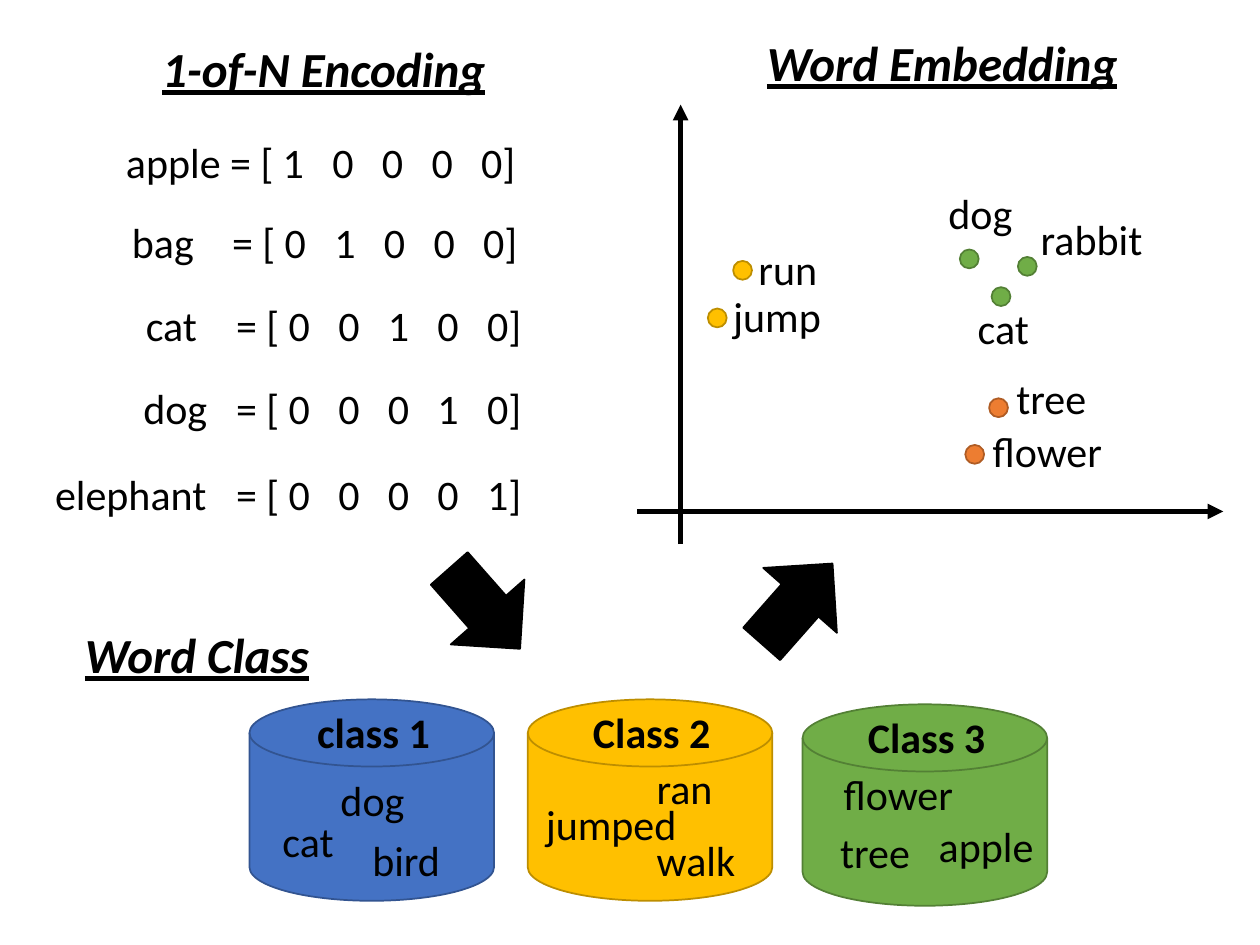
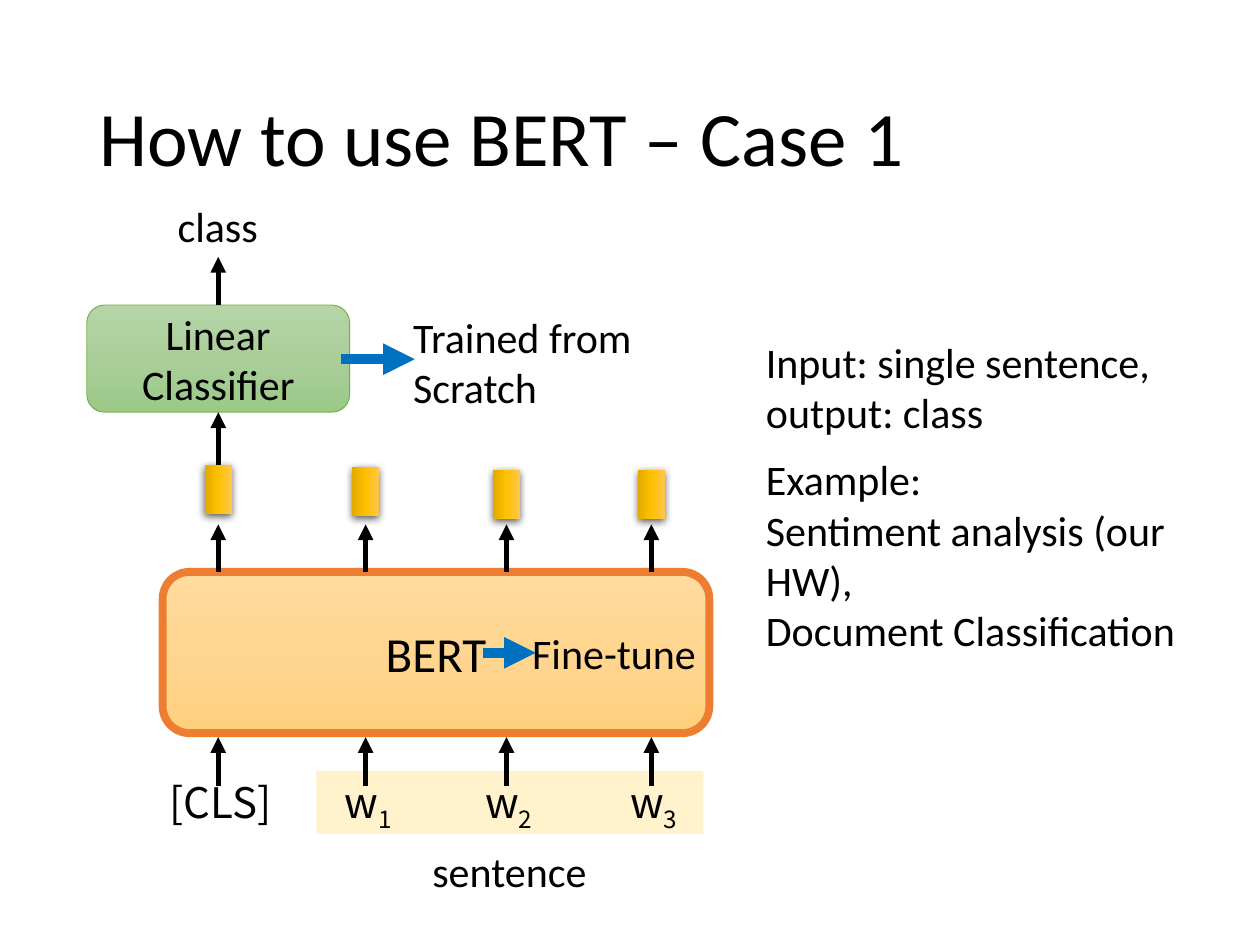
import pptx
import pptx.util
import pptx.dml.color
import pptx.enum.shapes
import pptx.enum.text
import pptx.oxml.ns
from lxml import etree

Cm, Pt = pptx.util.Cm, pptx.util.Pt
SHAPE = pptx.enum.shapes.MSO_SHAPE
ALIGN = pptx.enum.text.PP_ALIGN
FIT = pptx.enum.text.MSO_AUTO_SIZE
MIDDLE = pptx.enum.text.MSO_ANCHOR.MIDDLE
qn = pptx.oxml.ns.qn

FONT, TOKEN_FONT = "Calibri", "Noto Sans CJK SC"
INSET = 0.25
COLORS = {
    "black": "000000", "arrow": "0070C0", "band": "FFF2CC",
    "blue": "4472C4", "blue_edge": "325491",
    "gold": "FFC000", "gold_edge": "BD8E00",
    "green": "70AD47", "green_edge": "538035",
    "orange": "ED7D31", "orange_edge": "AF5C24",
}
GRADIENTS = {
    "bert": ("FFDB9E", "FFD590", "FFD07C"),
    "classifier": ("B5D5A7", "AACE9A", "9CC987"),
    "vector": ("E3AB00", "FFC000", "FFC64B"),
}

# Slide 1, all positions in cm
HEADINGS = [("1-of-N Encoding", 3.02, 0.66), ("Word Embedding", 15.21, 0.53),
            ("Word Class", 1.46, 12.47)]
# word, left, top, position of the equals sign
ENCODINGS = [("apple", 2.29, 2.62, 4.64), ("bag", 2.41, 4.24, 4.68),
             ("cat", 2.69, 5.92, 4.76), ("dog", 2.64, 7.59, 4.76),
             ("elephant", 0.86, 9.32, 4.76)]
AXES = [(12.85, 10.31, 24.66, 10.31), (13.72, 10.97, 13.72, 2.11)]
# word, colour, dot left and top, label left and top
EMBEDDINGS = [
    ("dog", "green", 19.35, 5.03, 18.87, 3.66),
    ("cat", "green", 19.99, 5.79, 19.46, 5.97),
    ("rabbit", "green", 20.52, 5.18, 20.73, 4.17),
    ("jump", "gold", 14.27, 6.22, 14.53, 5.74),
    ("run", "gold", 14.78, 5.26, 15.04, 4.78),
    ("flower", "orange", 19.46, 8.97, 19.76, 8.46),
    ("tree", "orange", 19.94, 8.03, 20.24, 7.39),
]
# name, colour, left, top, words with centre and top
CLASSES = [
    ("class 1", "blue", 5.03, 14.1,
     [("dog", 7.51, 15.49), ("cat", 6.21, 16.31), ("bird", 8.19, 16.69)]),
    ("Class 2", "gold", 10.64, 14.1,
     [("ran", 13.8, 15.24), ("jumped", 12.32, 15.98), ("walk", 14.03, 16.69)]),
    ("Class 3", "green", 16.18, 14.2,
     [("flower", 18.11, 15.37), ("tree", 17.64, 16.54), ("apple", 19.88, 16.41)]),
]
BLOCK_ARROWS = [(8.69, 11.28, 48.6), (14.99, 11.18, -48.6)]

# Slide 2
TITLE = "How to use BERT – Case 1"
# token, subscript, column centre, top of the output vector
TOKENS = [("[CLS]", "", 4.4, 9.37), ("w", "1", 7.37, 9.42),
          ("w", "2", 10.21, 9.47), ("w", "3", 13.13, 9.47)]
NOTES = [  # text, left, top, width
    ("class", 3.33, 3.91, 3),
    ("Trained from Scratch", 8.08, 6.15, 5.8),
    ("Input: single sentence,\noutput: class", 15.19, 6.65, 9.4),
    ("Example:\nSentiment analysis (our HW),\nDocument Classification", 15.19, 9.02, 9),
]
CENTRED_NOTES = [("sentence", 10.27, 16.92), ("Fine-tune", 12.38, 12.52)]
HINT_ARROWS = [(6.88, 7.24, 8.36, 7.24), (9.73, 13.16, 10.8, 13.16)]


def rgb(name):
    return pptx.dml.color.RGBColor.from_string(COLORS[name])


def style(tf, size=24, font=FONT, align=ALIGN.LEFT, bold=None, heading=False):
    for p in tf.paragraphs:
        p.alignment = align
        for r in p.runs:
            r.font.name, r.font.size = font, Pt(size)
            r.font.color.rgb = rgb("black")
            r.font.bold = heading or bold
            if heading:
                r.font.italic = r.font.underline = True


def label(slide, text, left, top, width=3.25, **look):
    tf = slide.shapes.add_textbox(Cm(left), Cm(top), Cm(width), Cm(1.27)).text_frame
    tf.word_wrap = True
    tf.auto_size = FIT.SHAPE_TO_FIT_TEXT
    tf.text = text
    style(tf, **look)
    return tf


def centred(slide, text, centre, top, width=4, **look):
    return label(slide, text, centre - width / 2, top, width, align=ALIGN.CENTER, **look)


def shape(slide, kind, left, top, width, height, fill=None, edge=None, weight=1):
    sp = slide.shapes.add_shape(kind, Cm(left), Cm(top), Cm(width), Cm(height))
    sp.shadow.inherit = False
    if fill:
        sp.fill.solid()
        sp.fill.fore_color.rgb = rgb(fill)
    if edge:
        sp.line.color.rgb = rgb(edge)
        sp.line.width = Pt(weight)
    else:
        sp.line.fill.background()
    return sp


def shade(sp, name, angle):
    """Fill with a gradient of evenly spaced stops."""
    sp.fill.gradient()
    sp.fill.gradient_angle = angle
    stops = sp._element.spPr.find(".//" + qn("a:gsLst"))
    for old in list(stops):
        stops.remove(old)
    for i, color in enumerate(GRADIENTS[name]):
        gs = etree.SubElement(stops, qn("a:gs"), pos=str(i * 50000))
        etree.SubElement(gs, qn("a:srgbClr"), val=color)


def drop_shadow(sp):
    effects = sp._element.spPr.find(qn("a:effectLst"))
    shadow = etree.SubElement(effects, qn("a:outerShdw"), blurRad=str(Pt(4.5)),
                              dist=str(Pt(1.5)), dir="5400000", rotWithShape="0")
    color = etree.SubElement(shadow, qn("a:srgbClr"), val=COLORS["black"])
    etree.SubElement(color, qn("a:alpha"), val="63000")


def arrow(slide, x1, y1, x2, y2, color="black", weight=3):
    line = slide.shapes.add_connector(pptx.enum.shapes.MSO_CONNECTOR.STRAIGHT,
                                      Cm(x1), Cm(y1), Cm(x2), Cm(y2))
    line.line.color.rgb = rgb(color)
    line.line.width = Pt(weight)
    etree.SubElement(line.line._get_or_add_ln(), qn("a:tailEnd"), type="triangle")
    etree.SubElement(line._element.spPr, qn("a:effectLst"))
    return line


def encoding(slide, row, word, left, top, equals):
    """Write a one-hot vector, with tab stops for the equals sign and digits."""
    bits = [str(int(row == i)) for i in range(len(ENCODINGS))]
    tf = label(slide, "\t".join([word, "= ["] + bits) + "]", left, top, 11.28)
    start = equals - left - INSET
    tabs = etree.SubElement(tf.paragraphs[0]._p.get_or_add_pPr(), qn("a:tabLst"))
    for stop in [start] + [start + 1.06 + i for i in range(len(bits))]:
        etree.SubElement(tabs, qn("a:tab"), pos=str(Cm(stop)), algn="l")


def build_word_slide(prs):
    s = prs.slides.add_slide(prs.slide_layouts[6])
    for axis in AXES:
        arrow(s, *axis)
    for word, color, x, y, left, top in EMBEDDINGS:
        shape(s, SHAPE.OVAL, x, y, 0.38, 0.38, color, color + "_edge")
        label(s, word, left, top)
    for row, entry in enumerate(ENCODINGS):
        encoding(s, row, *entry)
    for text, left, top in HEADINGS:
        label(s, text, left, top, 8, size=28, heading=True)
    for name, color, left, top, words in CLASSES:
        shape(s, SHAPE.FLOWCHART_MAGNETIC_DISK, left, top, 4.93, 4.06,
              color, color + "_edge")
        centred(s, name, left + 2.5, top + 0.02, bold=True)
        for word, centre, word_top in words:
            centred(s, word, centre, word_top)
    for left, top, turn in BLOCK_ARROWS:
        sp = shape(s, SHAPE.RIGHT_ARROW, left, top, 2.16, 1.98, "black", "black")
        sp.rotation = turn


def build_bert_slide(prs):
    s = prs.slides.add_slide(prs.slide_layouts[5])
    title = s.shapes.title
    title.left, title.top, title.width, title.height = Cm(1.75), Cm(1.02), Cm(21.89), Cm(3.68)
    tf = title.text_frame
    tf.text = TITLE
    tf.word_wrap, tf.auto_size, tf.vertical_anchor = True, FIT.NONE, MIDDLE
    tf.paragraphs[0].line_spacing = 0.9
    style(tf, 44)

    shape(s, SHAPE.RECTANGLE, 6.38, 15.54, 7.8, 1.27, "band")
    bert = shape(s, SHAPE.ROUNDED_RECTANGLE, 3.28, 11.53, 11.02, 3.25,
                 edge="orange", weight=4.5)
    classifier = shape(s, SHAPE.ROUNDED_RECTANGLE, 1.75, 6.15, 5.3, 2.16,
                       edge="green", weight=0.5)
    for sp, name, text, size in ((bert, "bert", "BERT", 28),
                                 (classifier, "classifier", "Linear Classifier", 24)):
        shade(sp, name, 270)
        sp.text_frame.text = text
        sp.text_frame.word_wrap = True
        sp.text_frame.vertical_anchor = MIDDLE
        style(sp.text_frame, size, align=ALIGN.CENTER)

    vectors = []
    for token, sub, x, top in TOKENS:
        tf = centred(s, token, x + 0.05, 15.52, 3.1, font=TOKEN_FONT)
        if sub:
            r = tf.paragraphs[0].add_run()
            r.text = sub
            style(tf, font=TOKEN_FONT, align=ALIGN.CENTER)
            r.font._element.set("baseline", "-25000")
        arrow(s, x, 15.85, x, 14.86)
        arrow(s, x, 11.53, x, 10.57)
        vector = shape(s, SHAPE.RECTANGLE, x - 0.27, top, 0.54, 0.99)
        shade(vector, "vector", 0)
        drop_shadow(vector)
        vectors.append(vector)

    x = TOKENS[0][2]
    arrow(s, x, 9.3, x, 8.31).end_connect(classifier, 2)
    s.shapes[-1].begin_connect(vectors[0], 0)
    arrow(s, x, 6.15, x, 5.18).begin_connect(classifier, 0)
    for note in NOTES:
        label(s, *note)
    for note in CENTRED_NOTES:
        centred(s, *note, width=5.3)
    for ends in HINT_ARROWS:
        arrow(s, *ends, color="arrow", weight=6)


def main():
    prs = pptx.Presentation()
    prs.slide_width, prs.slide_height = Cm(25.4), Cm(19.05)
    build_word_slide(prs)
    build_bert_slide(prs)
    prs.save("out.pptx")


if __name__ == "__main__":
    main()
